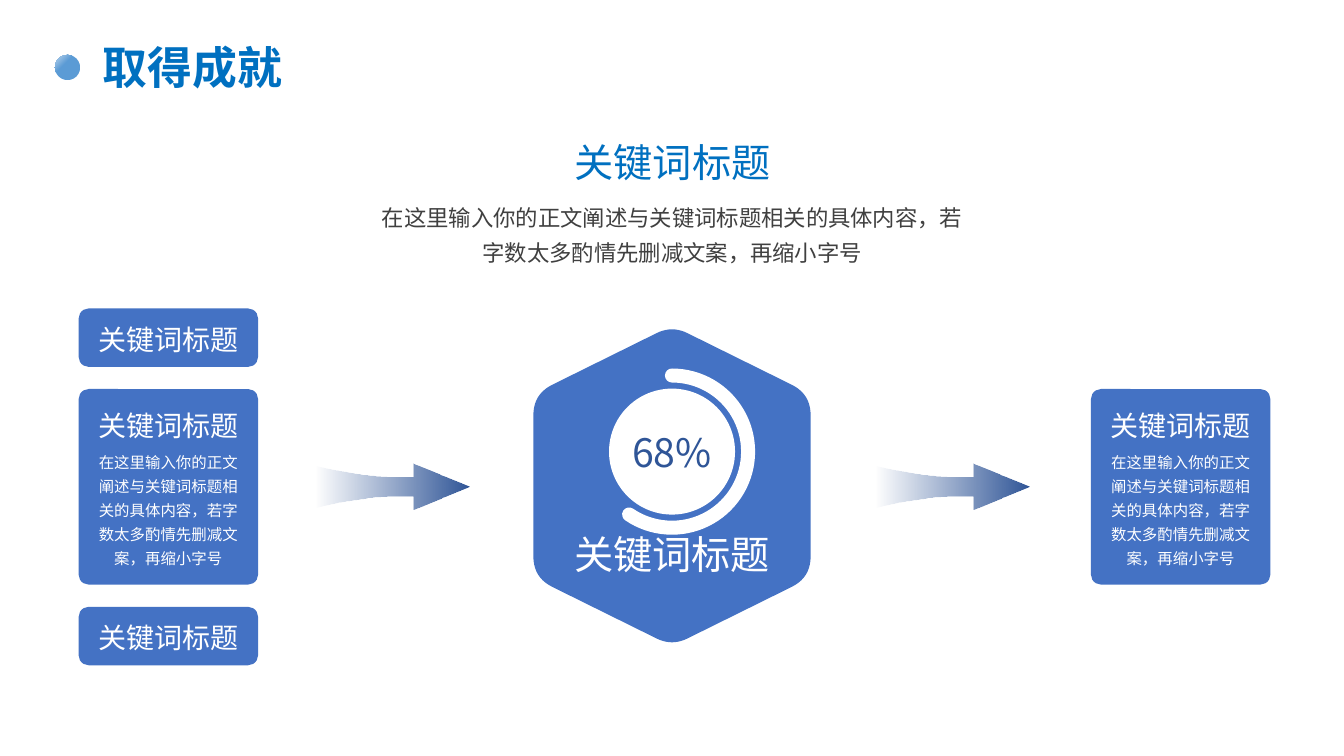
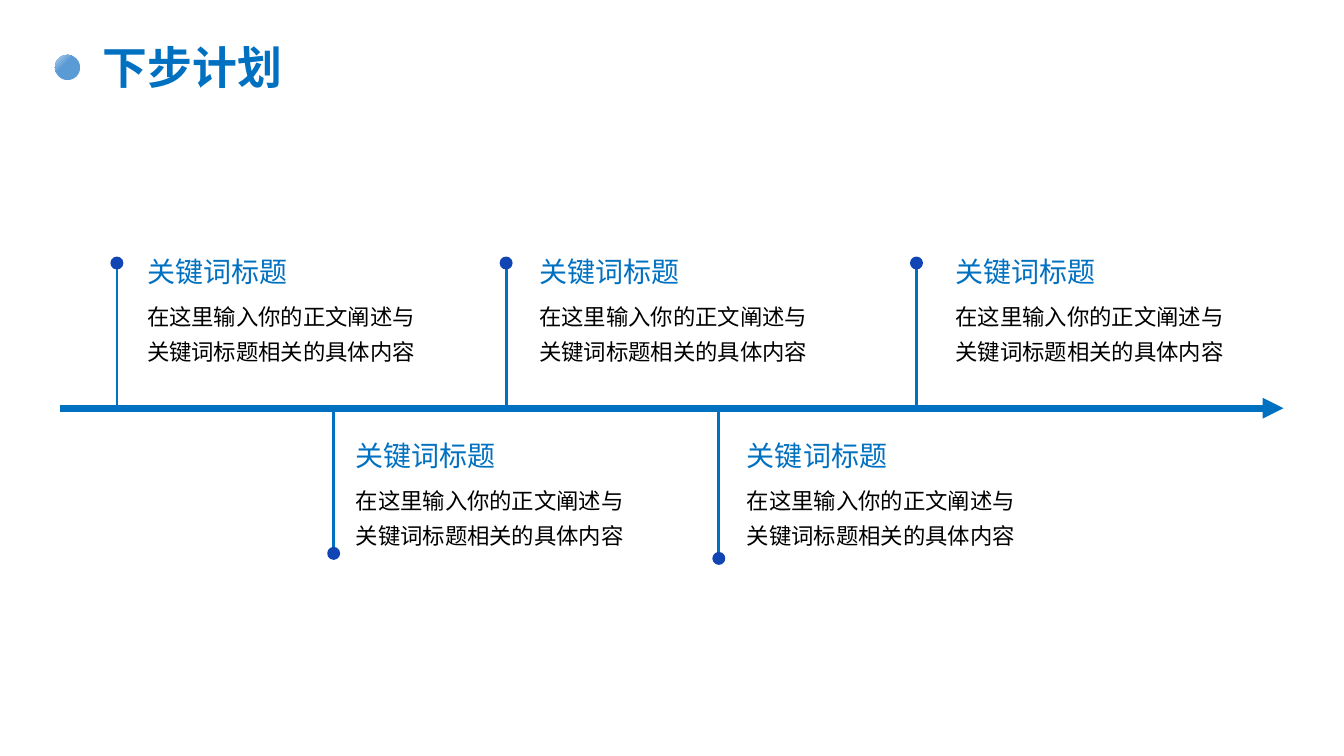
"""Build two slides: an achievement flow and a timeline of next steps."""
from lxml import etree
from pptx import Presentation
from pptx.dml.color import RGBColor
from pptx.enum.shapes import MSO_CONNECTOR, MSO_SHAPE
from pptx.enum.text import MSO_ANCHOR, PP_ALIGN
from pptx.oxml.ns import qn
from pptx.util import Inches, Pt

LEFT, CENTER = PP_ALIGN.LEFT, PP_ALIGN.CENTER
TOP, MIDDLE = MSO_ANCHOR.TOP, MSO_ANCHOR.MIDDLE
OVAL, ROUNDED, ARC = MSO_SHAPE.OVAL, MSO_SHAPE.ROUNDED_RECTANGLE, MSO_SHAPE.ARC
STRAIGHT = MSO_CONNECTOR.STRAIGHT

FONT = "Noto Sans CJK SC"
COLORS = {
    "title": "0070C0", "card": "4472C4", "deep": "2F5597", "dot": "1045B3",
    "white": "FFFFFF", "black": "000000", "grey": "404040",
    "bullet": "5B9BD5", "shine": "BDD7EE",
}

KEYWORD = "关键词标题"
SHORT_TEXT = "在这里输入你的正文阐述与关键词标题相关的具体内容"
LONG_TEXT = SHORT_TEXT + "，若字数太多酌情先删减文案，再缩小字号"

SLIDE_W, SLIDE_H = 13.33, 7.5
CARD_W, CARD_H, CARD_TOP, CARD_GAP = 1.78, 1.94, 3.86, 0.22
LABEL_H = 0.58
CARD_LEFT, CARD_RIGHT = 0.78, 10.82
CARDS = [
    (CARD_LEFT, CARD_TOP - CARD_GAP - LABEL_H, LABEL_H, False),
    (CARD_LEFT, CARD_TOP, CARD_H, True),
    (CARD_LEFT, CARD_TOP + CARD_H + CARD_GAP, LABEL_H, False),
    (CARD_RIGHT, CARD_TOP, CARD_H, True),
]
CORNER = 0.1

MID_X, MID_Y = SLIDE_W / 2, 4.82
HEX_W, HEX_H, HEX_SIDE = 2.75, 3.18, 1.82
GAUGE_Y, GAUGE_D, RING_D = 4.48, 1.25, 1.51

ARROW_LEFTS, ARROW_Y = (3.13, 8.68), 4.83
ARROW_TIP, ARROW_NECK, ARROW_BEND = 1.53, 0.97, 0.71
HEAD_HALF, SHAFT_HALF, TAIL_HALF = 0.23, 0.1, 0.21

AXIS_Y, AXIS_START, AXIS_END = 4.05, 0.6, 12.73
DOT_D = 0.1
ABOVE_Y, BELOW_Y = 2.48, 4.3
MILESTONES = [
    (1.16, 2.61, 1.36, ABOVE_Y),
    (3.31, 5.49, 3.43, BELOW_Y),
    (5.02, 2.61, 5.25, ABOVE_Y),
    (7.13, 5.54, 7.31, BELOW_Y),
    (9.09, 2.61, 9.38, ABOVE_Y),
]


def rgb(name):
    return RGBColor.from_string(COLORS[name])


def add_shape(slide, kind, x, y, w, h, fill=None):
    s = slide.shapes.add_shape(kind, Inches(x), Inches(y), Inches(w), Inches(h))
    style(s, fill)
    return s


def style(s, fill=None):
    s.shadow.inherit = False
    s.line.fill.background()
    if fill:
        s.fill.solid()
        s.fill.fore_color.rgb = rgb(fill)
    else:
        s.fill.background()


def add_circle(slide, cx, cy, d, fill):
    return add_shape(slide, OVAL, cx - d / 2, cy - d / 2, d, d, fill)


def write(s, lines, align=LEFT, anchor=TOP, margins=(0.1, 0.05)):
    """Write (text, size, colour, line spacing, space before, bold) lines."""
    tf = s.text_frame
    tf.word_wrap = True
    tf.vertical_anchor = anchor
    tf.margin_left = tf.margin_right = Inches(margins[0])
    tf.margin_top = Inches(margins[1])
    tf.margin_bottom = 0 if anchor == TOP else tf.margin_top
    for i, (text, size, color, spacing, before, bold) in enumerate(lines):
        p = tf.add_paragraph() if i else tf.paragraphs[0]
        p.text = text
        p.alignment = align
        p.line_spacing = spacing
        p.space_before = Pt(before)
        p.font.size, p.font.bold, p.font.name = Pt(size), bold, FONT
        p.font.color.rgb = rgb(color)
        props = p._p.pPr.find(qn("a:defRPr"))
        etree.SubElement(props, qn("a:ea"), typeface=FONT)


def add_text(slide, x, y, w, h, lines, align=LEFT, anchor=TOP):
    box = slide.shapes.add_textbox(Inches(x), Inches(y), Inches(w), Inches(h))
    write(box, lines, align, anchor)


def heading(size, color, text=KEYWORD, bold=False, spacing=1.0):
    return text, size, color, spacing, 0, bold


def body(text, size, color, before):
    return text, size, color, 1.3, before, False


def set_gradient(s, stops, radial=False):
    """Fill with (position, colour, opacity) stops, in percent."""
    s.fill.gradient()
    grad = s._element.spPr.find(qn("a:gradFill"))
    for child in list(grad):
        grad.remove(child)
    gs_list = etree.SubElement(grad, qn("a:gsLst"))
    for pos, color, opacity in stops:
        gs = etree.SubElement(gs_list, qn("a:gs"), pos=str(pos * 1000))
        clr = etree.SubElement(gs, qn("a:srgbClr"), val=COLORS[color])
        if opacity < 100:
            etree.SubElement(clr, qn("a:alpha"), val=str(opacity * 1000))
    if radial:
        shade = etree.SubElement(grad, qn("a:path"), path="circle")
        etree.SubElement(shade, qn("a:fillToRect"), r="100000", b="100000")
    else:
        etree.SubElement(grad, qn("a:lin"), ang="0", scaled="0")


def curve(a, control, b, steps=10):
    """Return points of a quadratic curve from a to b."""
    ts = [i / steps for i in range(steps + 1)]
    return [tuple((1 - t) ** 2 * p + 2 * t * (1 - t) * c + t * t * q
                  for p, c, q in zip(a, control, b)) for t in ts]


def toward(a, b, distance):
    length = ((b[0] - a[0]) ** 2 + (b[1] - a[1]) ** 2) ** 0.5
    return tuple(p + (q - p) * distance / length for p, q in zip(a, b))


def add_outline(slide, points):
    first, *rest = [(Inches(x), Inches(y)) for x, y in points]
    builder = slide.shapes.build_freeform(*first)
    builder.add_line_segments(rest, close=True)
    return builder.convert_to_shape()


def add_hexagon(slide):
    half_w, half_h, half_side = HEX_W / 2, HEX_H / 2, HEX_SIDE / 2
    corners = [(MID_X + dx, MID_Y + dy) for dx, dy in (
        (0, -half_h), (half_w, -half_side), (half_w, half_side),
        (0, half_h), (-half_w, half_side), (-half_w, -half_side))]
    points = []
    for i, corner in enumerate(corners):
        cut = 0.21 if i % 3 else 0.17
        before, after = corners[i - 1], corners[(i + 1) % 6]
        points += curve(toward(corner, before, cut), corner,
                        toward(corner, after, cut))
    style(add_outline(slide, points), "card")


def add_flow_arrow(slide, x):
    lower = [(ARROW_NECK, HEAD_HALF), (ARROW_NECK, SHAFT_HALF)]
    lower += curve((ARROW_BEND, SHAFT_HALF), (0.4, 0.11), (0, TAIL_HALF))
    upper = [(dx, -dy) for dx, dy in reversed(lower)]
    points = [(x + dx, ARROW_Y + dy) for dx, dy in [(ARROW_TIP, 0)] + lower + upper]
    s = add_outline(slide, points)
    style(s)
    set_gradient(s, [(0, "deep", 0), (100, "deep", 100)])


def add_gauge(slide):
    s = add_circle(slide, MID_X, GAUGE_Y, GAUGE_D, "white")
    write(s, [heading(28, "deep", "68%")], CENTER, MIDDLE, (0, 0))
    ring = add_shape(slide, ARC, MID_X - RING_D / 2, GAUGE_Y - RING_D / 2,
                     RING_D, RING_D)
    ring.adjustments[0], ring.adjustments[1] = 162, 74.55
    ring.line.color.rgb = rgb("white")
    ring.line.width = Pt(10)
    ring._element.spPr.find(qn("a:ln")).set("cap", "rnd")


def add_line(slide, x1, y1, x2, y2, width, arrow=False):
    c = slide.shapes.add_connector(
        STRAIGHT, Inches(x1), Inches(y1), Inches(x2), Inches(y2))
    c.line.color.rgb = rgb("title")
    c.line.width = Pt(width)
    props = c._element.spPr
    if arrow:
        etree.SubElement(props.find(qn("a:ln")), qn("a:tailEnd"), type="triangle")
    etree.SubElement(props, qn("a:effectLst"))


def new_slide(prs, title):
    slide = prs.slides.add_slide(prs.slide_layouts[6])
    s = add_circle(slide, 0.67, 0.67, 0.25, "bullet")
    set_gradient(s, [(0, "shine", 100), (38, "bullet", 100), (85, "bullet", 100)], True)
    add_text(slide, 0.92, 0.4, 2.19, 0.59,
             [heading(32, "title", title, True, 0.9)], anchor=MIDDLE)
    return slide


def build_achievements(prs):
    slide = new_slide(prs, "取得成就")
    add_text(slide, 3.6, 1.32, 6.14, 1.36,
             [heading(28, "title"), body(LONG_TEXT, 16, "grey", 8)], CENTER)
    for x, y, h, detailed in CARDS:
        s = add_shape(slide, ROUNDED, x, y, CARD_W, h, "card")
        s.adjustments[0] = CORNER / min(CARD_W, h)
        lines = [heading(20, "white")]
        if detailed:
            lines.append(body(LONG_TEXT, 11, "white", 4))
        write(s, lines, CENTER, margins=(0.15, 0.16 if detailed else 0.11))
    add_hexagon(slide)
    add_gauge(slide)
    add_text(slide, MID_X - HEX_W / 2, 5.21, HEX_W, 0.57,
             [heading(28, "white")], CENTER)
    for x in ARROW_LEFTS:
        add_flow_arrow(slide, x)


def build_plan(prs):
    slide = new_slide(prs, "下步计划")
    add_line(slide, AXIS_START, AXIS_Y, AXIS_END, AXIS_Y, 5, arrow=True)
    for x, dot_y, text_x, text_y in MILESTONES:
        add_line(slide, x, dot_y, x, AXIS_Y, 2)
        dot = add_circle(slide, x, dot_y, DOT_D, "dot")
        dot.line.color.rgb = rgb("dot")
        dot.line.width = Pt(2)
        add_text(slide, text_x, text_y, 3.02, 1.18,
                 [heading(20, "title"), body(SHORT_TEXT, 16, "black", 5)])


def main():
    prs = Presentation()
    prs.slide_width, prs.slide_height = Inches(SLIDE_W), Inches(SLIDE_H)
    build_achievements(prs)
    build_plan(prs)
    prs.save("out.pptx")


if __name__ == "__main__":
    main()
